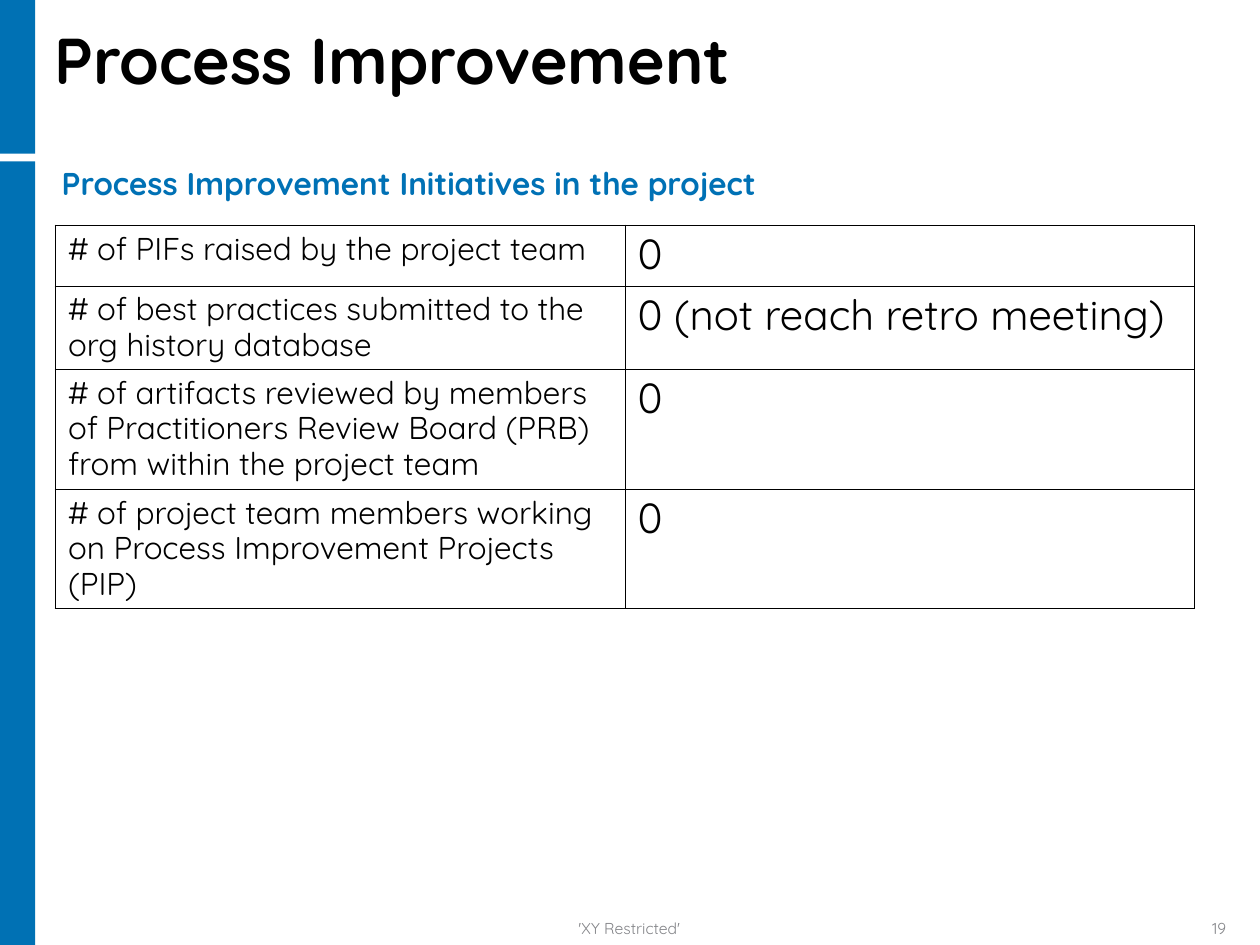
from dataclasses import dataclass

from lxml import etree
from pptx import Presentation
from pptx.dml import color
from pptx.enum import shapes, text
from pptx.oxml import ns
from pptx.util import Inches, Pt


@dataclass(frozen=True)
class Theme:
    font: str = "Quicksand"
    bar: str = "0071B4"
    accent: str = "0071B5"
    ink: str = "000000"
    muted: str = "848589"
    title_size: float = 37
    body_size: float = 18
    value_size: float = 24
    footer_size: float = 9
    outer_line: float = 1.08
    inner_line: float = 0.45


@dataclass(frozen=True)
class Box:
    left: float
    top: float
    width: float
    height: float

    def lengths(self) -> tuple:
        return tuple(Inches(n) for n in (self.left, self.top, self.width, self.height))


@dataclass(frozen=True)
class Metric:
    label: str
    value: str
    height: float


THEME = Theme()
BARS = [Box(0, 1.28, 0.28, 6.22), Box(0, 0, 0.28, 1.22)]
METRICS = [
    Metric("# of PIFs raised by the project team", "0", 0.48),
    Metric("# of best practices submitted to the org history database",
           "0 (not reach retro meeting)", 0.66),
    Metric("# of artifacts reviewed by members of Practitioners Review Board (PRB) "
           "from within the project team", "0", 0.95),
    Metric("# of project team members working on Process Improvement Projects (PIP)",
           "0", 0.94),
]


def write(frame, content: str, *, size: float, ink: str = THEME.ink, bold: bool = False,
          align=text.PP_ALIGN.LEFT, line_spacing: float = 1.0,
          before: float = 0, after: float = 0) -> None:
    paragraph = frame.paragraphs[0]
    paragraph.alignment = align
    paragraph.line_spacing = line_spacing
    paragraph.space_before = Pt(before)
    paragraph.space_after = Pt(after)
    run = paragraph.add_run()
    run.text = content
    run.font.name = THEME.font
    run.font.size = Pt(size)
    run.font.bold = bold
    run.font.color.rgb = color.RGBColor.from_string(ink)


def add_bar(slide, box: Box) -> None:
    shape = slide.shapes.add_shape(shapes.MSO_SHAPE.RECTANGLE, *box.lengths())
    shape.shadow.inherit = False
    shape.fill.solid()
    shape.fill.fore_color.rgb = color.RGBColor.from_string(THEME.bar)
    shape.line.fill.background()


def add_title(slide, box: Box, content: str) -> None:
    title = slide.shapes.title
    title.left, title.top, title.width, title.height = box.lengths()
    frame = title.text_frame
    frame.auto_size = text.MSO_AUTO_SIZE.NONE
    frame.vertical_anchor = text.MSO_ANCHOR.BOTTOM
    write(frame, content, size=THEME.title_size, bold=True, line_spacing=0.9)


def add_label(slide, box: Box, content: str, *, wrap: bool = True,
              anchor=text.MSO_ANCHOR.BOTTOM, **style) -> None:
    frame = slide.shapes.add_textbox(*box.lengths()).text_frame
    frame.word_wrap = wrap
    frame.vertical_anchor = anchor
    write(frame, content, **style)


def set_borders(cell, widths: dict[str, float]) -> None:
    properties = cell._tc.get_or_add_tcPr()
    for index, (side, width) in enumerate(widths.items()):
        line = etree.Element(ns.qn(f"a:ln{side}"), w=str(Pt(width)))
        fill = etree.SubElement(line, ns.qn("a:solidFill"))
        etree.SubElement(fill, ns.qn("a:srgbClr"), val=THEME.ink)
        properties.insert(index, line)


def add_metrics(slide, box: Box, metrics: list[Metric]) -> None:
    table = slide.shapes.add_table(len(metrics), 2, *box.lengths()).table
    table.first_row = False
    table.horz_banding = False
    for column in table.columns:
        column.width = Inches(box.width / 2)
    last = len(metrics) - 1
    for row, metric in enumerate(metrics):
        table.rows[row].height = Inches(metric.height)
        sizes = (THEME.body_size, THEME.value_size)
        for column, (content, size) in enumerate(zip((metric.label, metric.value), sizes)):
            cell = table.cell(row, column)
            cell.fill.background()
            write(cell.text_frame, content, size=size, line_spacing=0.9,
                  before=round(size * 0.375, 1), after=round(size * 0.125, 1))
            outside = {"L": column == 0, "R": column == 1, "T": row == 0, "B": row == last}
            set_borders(cell, {side: THEME.outer_line if edge else THEME.inner_line
                               for side, edge in outside.items()})


def main() -> None:
    presentation = Presentation()
    presentation.slide_width = Inches(10)
    presentation.slide_height = Inches(7.5)
    slide = presentation.slides.add_slide(presentation.slide_layouts[5])
    for bar in BARS:
        add_bar(slide, bar)
    add_title(slide, Box(0.33, 0.12, 8.34, 0.71), "Process Improvement")
    add_metrics(slide, Box(0.44, 1.79, 9.04, sum(m.height for m in METRICS)), METRICS)
    add_label(slide, Box(0.39, 1.25, 6.02, 0.4),
              "Process Improvement Initiatives in the project", wrap=False,
              anchor=text.MSO_ANCHOR.TOP, size=THEME.body_size, ink=THEME.accent, bold=True)
    footer = {"size": THEME.footer_size, "ink": THEME.muted}
    add_label(slide, Box(2.33, 7.25, 5.33, 0.24), "'XY Restricted'",
              align=text.PP_ALIGN.CENTER, **footer)
    add_label(slide, Box(9, 7.25, 0.83, 0.24), "19", align=text.PP_ALIGN.RIGHT, **footer)
    presentation.save("out.pptx")


if __name__ == "__main__":
    main()
